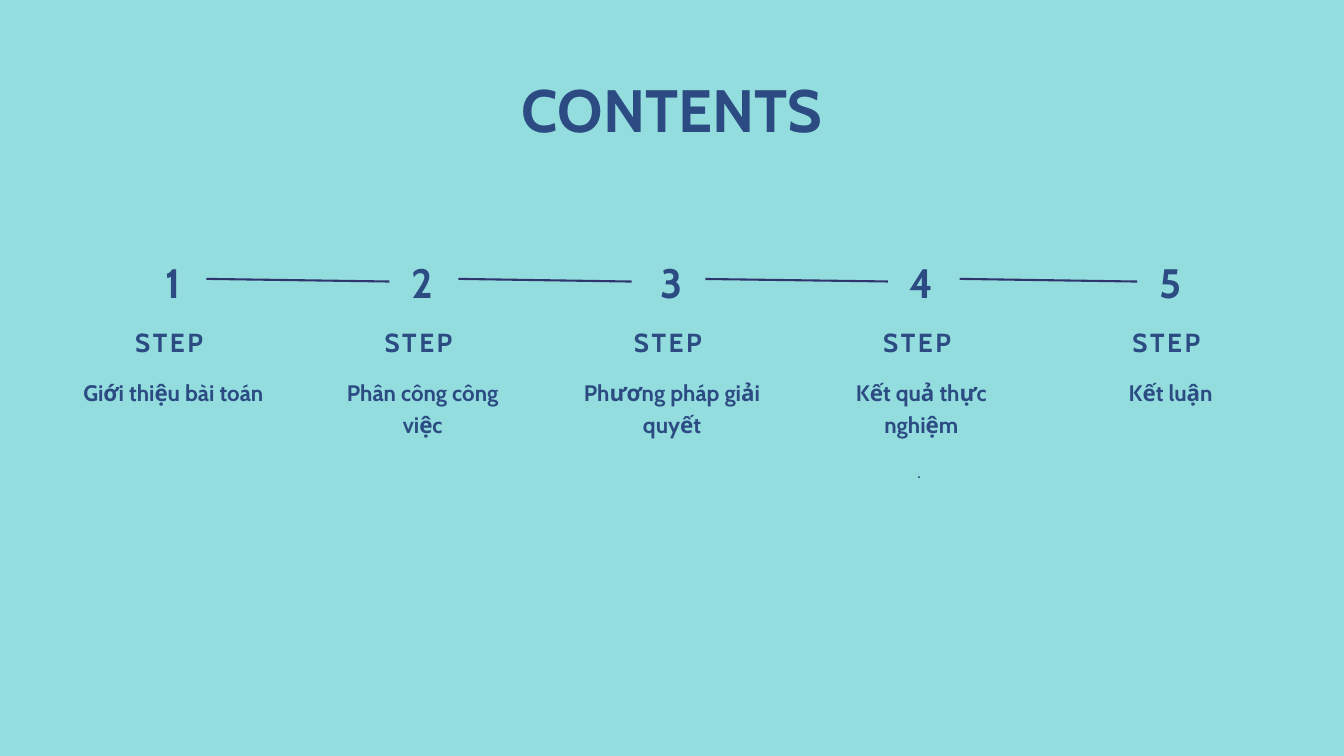
from pptx import Presentation
from pptx.dml.color import RGBColor
from pptx.enum.shapes import MSO_CONNECTOR, MSO_SHAPE
from pptx.enum.text import MSO_ANCHOR, MSO_AUTO_SIZE, PP_ALIGN
from pptx.oxml.ns import qn
from pptx.util import Inches, Pt

STRAIGHT = MSO_CONNECTOR.STRAIGHT
RECT = MSO_SHAPE.RECTANGLE
TOP, MIDDLE = MSO_ANCHOR.TOP, MSO_ANCHOR.MIDDLE
CENTER = PP_ALIGN.CENTER
FIXED = MSO_AUTO_SIZE.NONE

WIDE, HIGH = 20, 11.25
PITCH = 3.71
MID = WIDE / 2
SIDE = 0.99
AQUA, NAVY, INDIGO = "94DDDE", "2B4B82", "31356E"

# size, line spacing, letter spacing, bold
TITLE = (64, 67.2, 0, True)
DIGIT = (44, 61.6, 7.5, True)
LABEL = (28, 39.2, 2.8, True)
TOPIC = (24, 33.6, 0, True)
DOT = (21, 29.4, 0, False)

# topic and width of its column
STEPS = [
    ("Giới thiệu bài toán", 2.69),
    ("Phân công công việc", 2.63),
    ("Phương pháp giải quyết", 2.69),
    ("Kết quả thực nghiệm", 2.93),
    ("Kết luận", 3.09),
]
LINKS = [(3.07, 5.83), (6.82, 9.4), (10.39, 13.29), (14.28, 16.93)]


def color(code):
    return RGBColor.from_string(code)


def write(shape, text, style, anchor=TOP):
    size, line, gap, bold = style
    frame = shape.text_frame
    form = dict(word_wrap=True, auto_size=FIXED, vertical_anchor=anchor,
                margin_left=0, margin_right=0, margin_top=0, margin_bottom=0)
    for name, value in form.items():
        setattr(frame, name, value)
    para = frame.paragraphs[0]
    para.alignment = CENTER
    para.line_spacing = Pt(line)
    run = para.add_run()
    run.text = text
    for name, value in dict(name="Cabin", size=Pt(size), bold=bold).items():
        setattr(run.font, name, value)
    run.font.color.rgb = color(NAVY)
    if gap:
        run.font._element.set("spc", str(round(gap * 100)))


def span(mid, top, width, height):
    """Return the place of a box centred on mid."""
    return [Inches(v) for v in (mid - width / 2, top, width, height)]


def add_title(slide, text):
    title = slide.shapes.title
    title.left, title.top, title.width, title.height = span(MID, 1.22, 17.65, 0.97)
    write(title, text, TITLE)


def add_text(slide, place, text, style, anchor=TOP):
    write(slide.shapes.add_textbox(*place), text, style, anchor)


def add_link(slide, start, end):
    ends = [Inches(v) for v in (start, 4.15, end, 4.19)]
    link = slide.shapes.add_connector(STRAIGHT, *ends)
    link.line.color.rgb = color(INDIGO)
    link.line.width = Pt(2.25)
    props = link._element.spPr
    props.append(props.makeelement(qn("a:effectLst"), {}))


def add_patch(slide, mid):
    """Cover the line ends behind a number."""
    patch = slide.shapes.add_shape(RECT, *span(mid, 3.69, SIDE, 0.97))
    patch.shadow.inherit = False
    patch.fill.solid()
    patch.fill.fore_color.rgb = color(AQUA)
    patch.line.fill.background()


def add_step(slide, index, topic, width):
    mid = MID + PITCH * (index - 2)
    if index:
        add_patch(slide, mid)
    add_text(slide, span(mid, 3.6, SIDE, 1.06), str(index + 1), DIGIT, MIDDLE)
    add_text(slide, span(mid, 4.78, width, 0.51), "STEP ", LABEL)
    add_text(slide, span(mid, 5.58, width, 0.9), topic, TOPIC)


def main():
    deck = Presentation()
    deck.slide_width, deck.slide_height = Inches(WIDE), Inches(HIGH)
    slide = deck.slides.add_slide(deck.slide_layouts[5])
    slide.background.fill.solid()
    slide.background.fill.fore_color.rgb = color(AQUA)
    for start, end in LINKS:
        add_link(slide, start, end)
    add_title(slide, "CONTENTS")
    for index, (topic, width) in enumerate(STEPS):
        add_step(slide, index, topic, width)
    add_text(slide, span(MID + PITCH, 6.77, 2.93, 0.39), ". ", DOT)
    deck.save("out.pptx")


if __name__ == "__main__":
    main()
